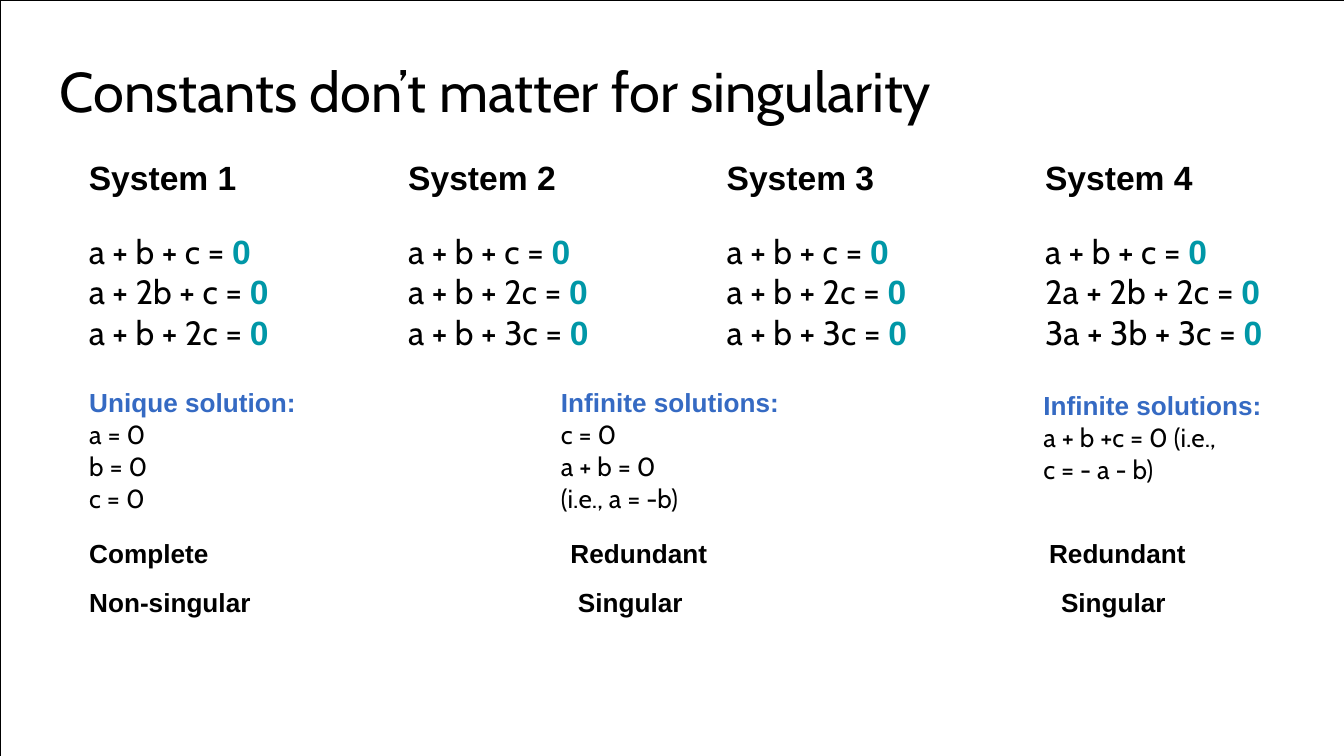
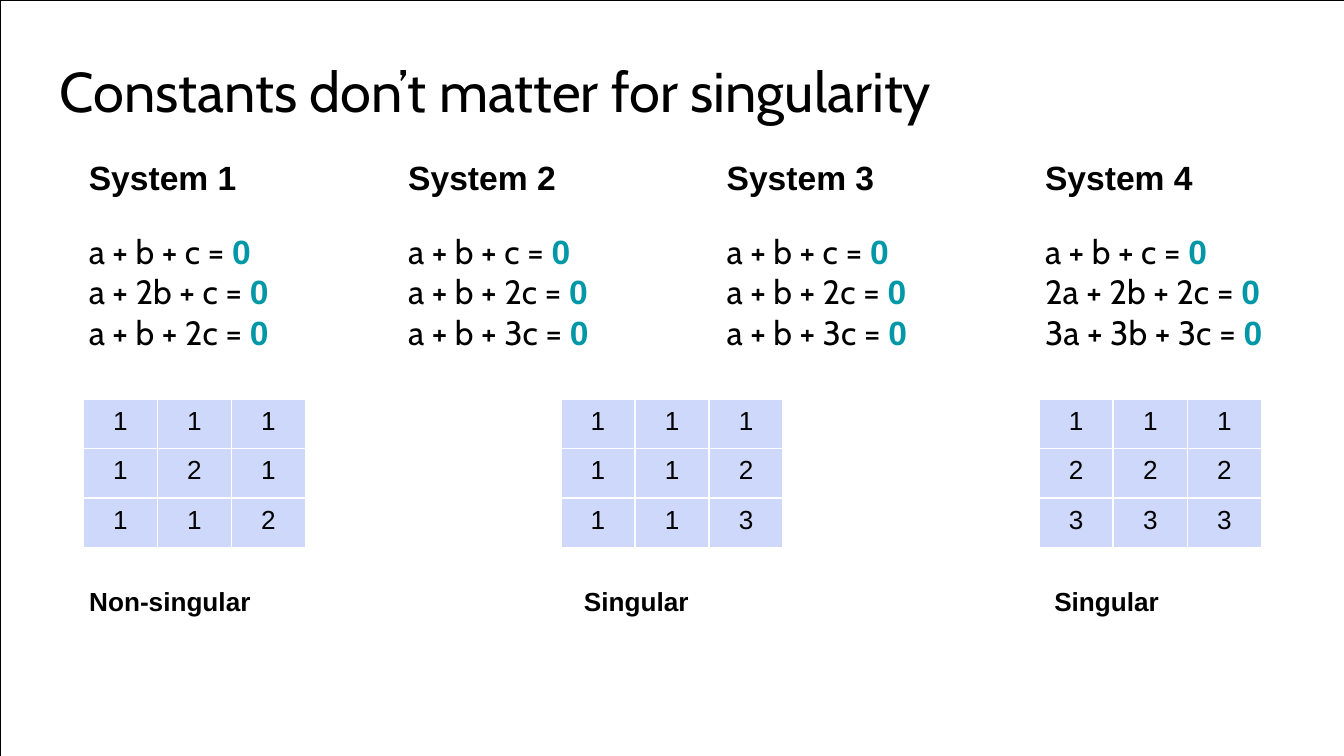
from lxml import etree
from pptx import Presentation
from pptx import util as u
from pptx.dml.color import RGBColor
from pptx.enum import text
from pptx.oxml.ns import qn

Pt = u.Pt
BLACK = RGBColor(0x00, 0x00, 0x00)
WHITE = RGBColor(0xFF, 0xFF, 0xFF)
TEAL = RGBColor(0x00, 0x97, 0xA7)
BLUE = RGBColor(0x35, 0x6A, 0xC3)
LAVENDER = RGBColor(0xCD, 0xD8, 0xFB)
SANS, HUMANIST = "Arial", "Cabin"
PLAIN_STYLE = "{2D5ABB26-0587-4C30-8999-92F81FD0307C}"

WIDTH, HEIGHT = 720, 405
TITLE = "Constants don’t matter for singularity"

# Left-hand sides of the equations, one list per system; each equals 0
SYSTEMS = [
    ["a + b + c", "a + 2b + c", "a + b + 2c"],
    ["a + b + c", "a + b + 2c", "a + b + 3c"],
    ["a + b + c", "a + b + 2c", "a + b + 3c"],
    ["a + b + c", "2a + 2b + 2c", "3a + 3b + 3c"],
]
SYSTEM_COLUMNS = [143.3, 170.6, 170.6, 163.4]
SYSTEM_ROWS = [28.8, 31, 22.3, 20.2]
LINE_SPACING = [17.4, None, 19.4, 19]  # points, per table row

# Box (left, top, width, height), heading, lines
SOLUTIONS = [
    ((46.8, 205.2, 112, 70), "Unique solution:", ["a = 0", "b = 0", "c = 0"]),
    ((299.5, 205.2, 119, 70), "Infinite solutions:",
     ["c = 0", "a + b = 0", "(i.e., a = -b)"]),
    ((558, 206.7, 119, 53), "Infinite solutions:",
     ["a + b +c = 0 (i.e.,", "c = - a - b)"]),
]

# Left edge, completeness, singularity, indent of the second line
VERDICTS = [
    (46.8, "Complete", "Non-singular", 0),
    (304.6, "Redundant", "Singular", 4),
    (561, "Redundant", "Singular", 6.4),
]

# Left edge, coefficients
MATRICES = [
    (44.6, [[1, 1, 1], [1, 2, 1], [1, 1, 2]]),
    (300.5, [[1, 1, 1], [1, 1, 2], [1, 1, 3]]),
    (556.7, [[1, 1, 1], [2, 2, 2], [3, 3, 3]]),
]
MATRIX_LABELS = [(46.8, "Non-singular"), (311.8, "Singular"), (563.8, "Singular")]


def set_font(font, size, name=SANS, color=BLACK, bold=False):
    font.size, font.name, font.bold = Pt(size), name, bold
    font.color.rgb = color


def add_text(page, box, count):
    """Add a text box and return its paragraphs."""
    frame = page.shapes.add_textbox(*map(Pt, box)).text_frame
    frame.word_wrap = True
    frame.auto_size = text.MSO_AUTO_SIZE.SHAPE_TO_FIT_TEXT
    frame.margin_left, frame.margin_top = Pt(1), Pt(2)
    frame.margin_right = frame.margin_bottom = 0
    for _ in range(count - 1):
        frame.add_paragraph()
    return frame.paragraphs


def add_plain_table(page, left, top, widths, heights):
    """Add a table without any built-in styling."""
    frame = page.shapes.add_table(len(heights), len(widths), Pt(left), Pt(top),
                                  Pt(sum(widths)), Pt(sum(heights)))
    table = frame.table
    table.first_row = table.horz_banding = False
    frame._element.find(".//" + qn("a:tableStyleId")).text = PLAIN_STYLE
    for column, width in zip(table.columns, widths):
        column.width = Pt(width)
    for row, height in zip(table.rows, heights):
        row.height = Pt(height)
    for cell in table.iter_cells():
        cell.margin_left = cell.margin_right = 0
        cell.margin_top = cell.margin_bottom = 0
    return table


def set_borders(cell, color, width):
    properties = cell._tc.get_or_add_tcPr()
    for index, side in enumerate(("a:lnL", "a:lnR", "a:lnT", "a:lnB")):
        line = etree.Element(qn(side), w=str(Pt(width)))
        fill = etree.SubElement(line, qn("a:solidFill"))
        etree.SubElement(fill, qn("a:srgbClr"), val=str(color))
        properties.insert(index, line)


# Page outline and title
def add_frame(page):
    builder = page.shapes.build_freeform(0, Pt(HEIGHT))
    corners = [(WIDTH, HEIGHT), (WIDTH, 0), (0, 0)]
    builder.add_line_segments([(Pt(x), Pt(y)) for x, y in corners], close=True)
    outline = builder.convert_to_shape()
    outline.shadow.inherit = False
    outline.fill.background()
    outline.line.color.rgb = BLACK
    outline.line.width = Pt(0.25)

    [para] = add_text(page, (31, 28, 490, 38), 1)
    para.text = TITLE
    set_font(para.font, 30, HUMANIST)


# Four systems of equations
def add_systems(page, left, top):
    table = add_plain_table(page, left, top, SYSTEM_COLUMNS, SYSTEM_ROWS)
    for col, equations in enumerate(SYSTEMS):
        for row, spacing in enumerate(LINE_SPACING):
            cell = table.cell(row, col)
            cell.fill.background()
            cell.margin_left = Pt(30 if col else 2.2)
            cell.margin_top = Pt(7 if row == 1 else 0)
            para = cell.text_frame.paragraphs[0]
            if spacing:
                para.line_spacing = Pt(spacing)
            if row == 0:
                para.text = f"System {col + 1}"
                set_font(para.font, 18, bold=True)
                continue
            span = para.add_run()
            span.text = f"{equations[row - 1]} = "
            set_font(span.font, 18, HUMANIST)
            span = para.add_run()
            span.text = "0"
            set_font(span.font, 18, color=TEAL, bold=True)


# Solution set under a system
def add_solution(page, box, heading, lines):
    first, *rest = add_text(page, box, len(lines) + 1)
    first.text = heading
    set_font(first.font, 14, color=BLUE, bold=True)
    for para, line in zip(rest, lines):
        para.text = line
        para.space_before = Pt(0.2)
        set_font(para.font, 14, HUMANIST)


# Two-line verdict
def add_verdict(page, left, top, completeness, singularity, indent):
    paras = add_text(page, (left, top, 90, 53), 2)
    for para, line in zip(paras, (completeness, singularity)):
        para.text = line
        para.line_spacing = 1.52
        set_font(para.font, 14, bold=True)
    paras[1].space_before = Pt(1)
    paras[1]._p.get_or_add_pPr().set("marL", str(Pt(indent)))


# Coefficient matrix
def add_matrix(page, left, top, values):
    table = add_plain_table(page, left, top, [39.7] * 3, [26.5] * 3)
    for row, numbers in enumerate(values):
        for col, number in enumerate(numbers):
            cell = table.cell(row, col)
            cell.margin_top = Pt(4)
            cell.fill.solid()
            cell.fill.fore_color.rgb = LAVENDER
            set_borders(cell, WHITE, 1)
            para = cell.text_frame.paragraphs[0]
            para.text = str(number)
            para.alignment = text.PP_ALIGN.CENTER
            set_font(para.font, 14)


def add_matrix_label(page, left, top, label):
    [para] = add_text(page, (left, top, 90, 18.5), 1)
    para.text = label
    set_font(para.font, 14, bold=True)


def add_page(deck):
    page = deck.slides.add_slide(deck.slide_layouts[6])
    add_frame(page)
    add_systems(page, 45.4, 88.6)
    return page


def build_solutions_page(deck):
    page = add_page(deck)
    for left, *verdict in VERDICTS:
        add_verdict(page, left, 277, *verdict)
    for solution in SOLUTIONS:
        add_solution(page, *solution)


def build_matrices_page(deck):
    page = add_page(deck)
    for left, values in MATRICES:
        add_matrix(page, left, 213.8, values)
    for left, label in MATRIX_LABELS:
        add_matrix_label(page, left, 311.8, label)


def main():
    deck = Presentation()
    deck.slide_width, deck.slide_height = Pt(WIDTH), Pt(HEIGHT)
    build_solutions_page(deck)
    build_matrices_page(deck)
    deck.save("out.pptx")


if __name__ == "__main__":
    main()
